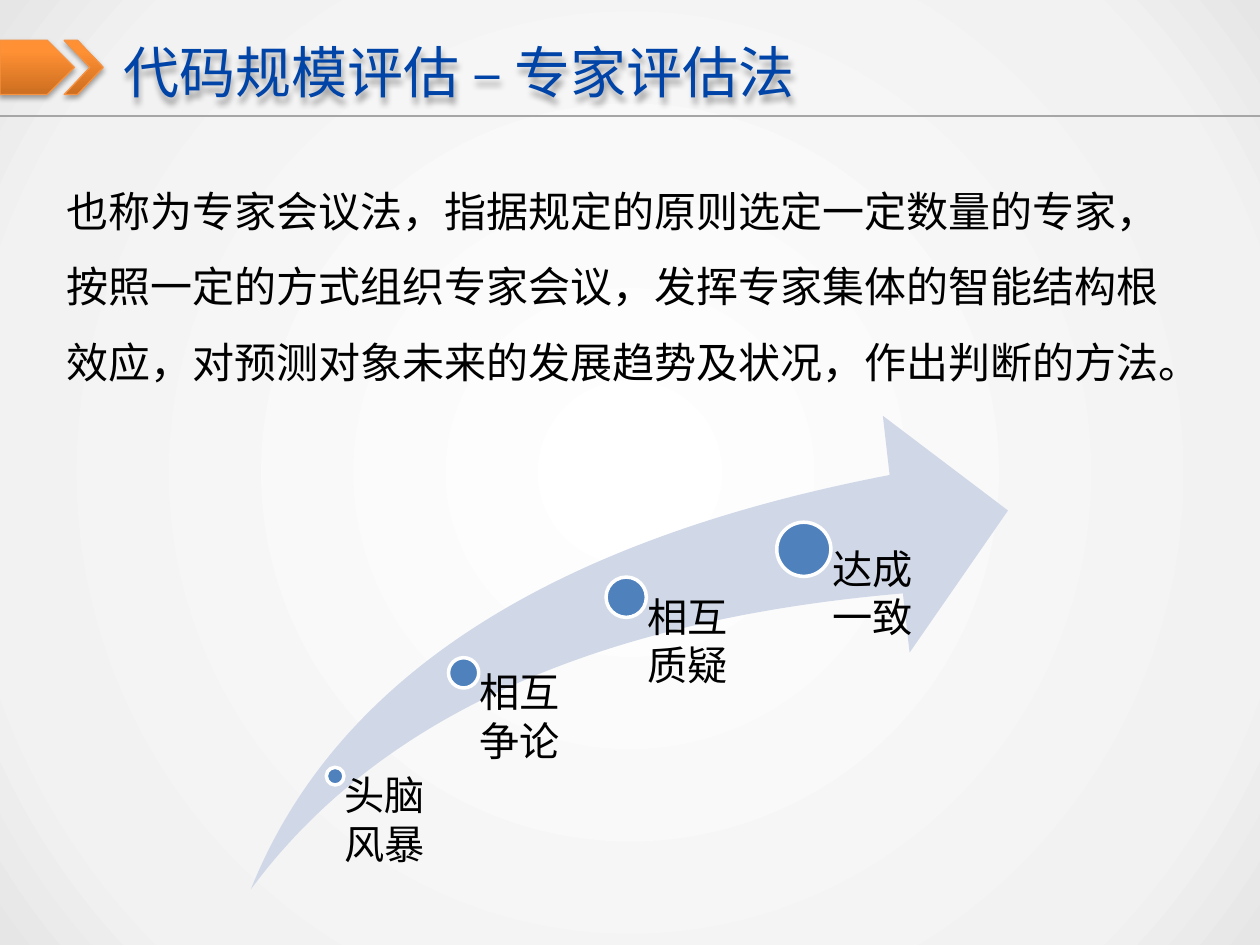
from lxml import etree
from pptx import Presentation
from pptx.dml.color import RGBColor as RGB
from pptx.enum.shapes import MSO_CONNECTOR, MSO_SHAPE as SHAPE
from pptx.enum.text import MSO_ANCHOR as ANCHOR, MSO_AUTO_SIZE as AUTO
from pptx.oxml.ns import qn
from pptx.util import Inches, Pt

BLUE, BLACK, WHITE = RGB(0x01, 0x44, 0xA7), RGB(0, 0, 0), RGB(255, 255, 255)
ORANGE, RULE = RGB(0xF6, 0x92, 0x40), RGB(0xA6, 0xA6, 0xA6)
PALE, DOT = RGB(0xD0, 0xD8, 0xE8), RGB(0x4F, 0x81, 0xBD)
ORANGE_STOPS = [(0, RGB(0xCC, 0x6E, 0x20)), (80, RGB(0xFF, 0x90, 0x34)),
                (100, RGB(0xFF, 0x91, 0x36))]
PAGE_STOPS = [(0, WHITE), (82, RGB(0xF2, 0xF2, 0xF2)), (100, RGB(0xE6, 0xE6, 0xE6))]
CJK, LATIN = "Noto Sans CJK SC", "Calibri"
COLS, ROWS = 100, 75


def add(parent, tag, **attrs):
    return etree.SubElement(parent, qn(tag), {k: str(v) for k, v in attrs.items()})


class Deck:
    """Holds the style and the current slide; lengths are grid columns and rows."""

    def __init__(self):
        self.prs = Presentation()
        self.prs.slide_width, self.prs.slide_height = Inches(10), Inches(7.5)
        self.col, self.row = self.prs.slide_width / COLS, self.prs.slide_height / ROWS
        self.s = self.prs.slides.add_slide(self.prs.slide_layouts[6])

    def box(self, x, y, w, h):
        return [int(v) for v in (x * self.col, y * self.row, w * self.col, h * self.row)]

    def gradient(self, fill, holder, stops, angle=None):
        """Fill with colour stops, along an angle or as circles from the centre."""
        fill.gradient()
        grad = holder.find(".//" + qn("a:gradFill"))
        for child in list(grad):
            grad.remove(child)
        gs_list = add(grad, "a:gsLst")
        for pos, color in stops:
            add(add(gs_list, "a:gs", pos=pos * 1000), "a:srgbClr", val=color)
        if angle is None:
            centre = add(grad, "a:path", path="circle")
            add(centre, "a:fillToRect", l=50000, t=50000, r=50000, b=50000)
        else:
            add(grad, "a:lin", ang=angle * 60000, scaled=0)

    def background(self, stops):
        self.gradient(self.s.background.fill, self.s.element, stops)

    def shadow(self, sp, blur, dist):
        sp.shadow.inherit = False
        effects = sp.element.spPr.find(qn("a:effectLst"))
        outer = add(effects, "a:outerShdw", blurRad=Pt(blur), dist=Pt(dist),
                    dir=90 * 60000, rotWithShape=0)
        add(add(outer, "a:srgbClr", val=BLACK), "a:alpha", val=35000)

    def shape(self, kind, box, fill, line=None, width=0.75, adjust=()):
        sp = self.s.shapes.add_shape(kind, *self.box(*box))
        sp.shadow.inherit = False
        for i, value in enumerate(adjust):
            sp.adjustments[i] = value
        if isinstance(fill, list):
            self.gradient(sp.fill, sp.element.spPr, fill, angle=270)
        else:
            sp.fill.solid()
            sp.fill.fore_color.rgb = fill
        if line is None:
            sp.line.fill.background()
        else:
            sp.line.color.rgb, sp.line.width = line, Pt(width)
        return sp

    def rule(self, y, color):
        x1, y1, x2, _ = self.box(0, y, COLS, 0)
        line = self.s.shapes.add_connector(MSO_CONNECTOR.STRAIGHT, x1, y1, x2, y1)
        line.line.color.rgb, line.line.width = color, Pt(0.75)
        add(line.element.spPr, "a:effectLst")

    def text(self, box, lines, size, font, color=BLACK, insets=(1, 0.5, 1, 0.5),
             anchor=ANCHOR.TOP, spacing=1.0, after=0):
        sp = self.s.shapes.add_textbox(*self.box(*box))
        tf = sp.text_frame
        tf.word_wrap, tf.vertical_anchor = True, anchor
        (tf.margin_left, tf.margin_top,
         tf.margin_right, tf.margin_bottom) = self.box(*insets)
        for i, line in enumerate(lines):
            p = tf.paragraphs[0] if i == 0 else tf.add_paragraph()
            p.line_spacing, p.space_after = spacing, Pt(after)
            r = p.add_run()
            r.text = line
            r.font.size, r.font.name, r.font.color.rgb = Pt(size), font, color
            add(r.font._element, "a:ea", typeface=font)
        return sp

    def step(self, x, y, size, label_width, lines):
        """A dot centred on x, y with a label that starts at its centre."""
        self.shape(SHAPE.OVAL, (x - size / 2, y - size / 2, size, size), DOT, WHITE, 2)
        self.text((x, y, label_width, STEPS_BOTTOM - y), lines, 23, LATIN,
                  insets=(size * 0.53, 0, 0, 0), spacing=0.9, after=3)


STEPS_BOTTOM = 70.6
STEPS = [
    (26.6, 61.6, 1.4, 10.3, ["头脑", "风暴"]),
    (36.8, 53.4, 2.4, 12.6, ["相互", "争论"]),
    (49.7, 47.4, 3.2, 12.6, ["相互", "质疑"]),
    (63.8, 43.6, 4.3, 12.6, ["达成", "一致"]),
]
DEFINITION = ("也称为专家会议法，指据规定的原则选定一定数量的专家，按照一定的方式组织专家会议，"
              "发挥专家集体的智能结构根效应，对预测对象未来的发展趋势及状况，作出判断的方法。")


def main():
    deck = Deck()
    deck.background(PAGE_STOPS)

    title = deck.text((9.8, 2.1, 88.2, 7.1), ["代码规模评估 – 专家评估法"], 32, CJK, BLUE,
                      insets=(0, 0.5, 0, 0.5), anchor=ANCHOR.MIDDLE)
    deck.shadow(title, 3, 3)
    for kind, x, w, adjust in ((SHAPE.PENTAGON, 0, 5.9, [0.5]),
                               (SHAPE.CHEVRON, 5.1, 3.1, [0.66])):
        mark = deck.shape(kind, (x, 3.2, w, 4.3), ORANGE_STOPS, ORANGE, adjust=adjust)
        deck.shadow(mark, 3.1, 1.8)
    deck.rule(9.2, RULE)

    body = deck.text((4.3, 12.2, 91.3, 19.2), [DEFINITION], 24, CJK, spacing=1.5)
    body.text_frame.auto_size = AUTO.SHAPE_TO_FIT_TEXT

    deck.shape(SHAPE.SWOOSH_ARROW, (19.9, 33, 60.1, 37.6), PALE, adjust=(0.25, 0.25))
    for step in STEPS:
        deck.step(*step)

    deck.prs.save("out.pptx")


if __name__ == "__main__":
    main()
